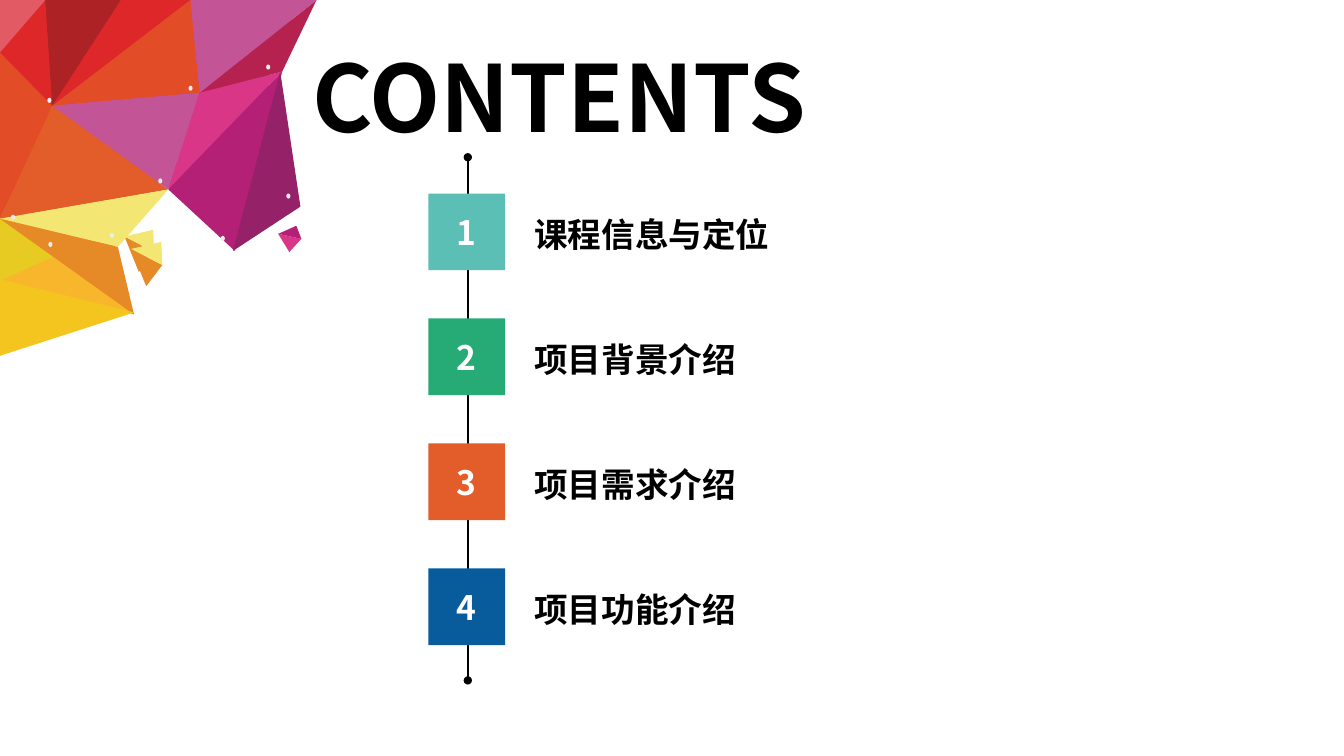
from pptx import Presentation
from pptx.dml.color import RGBColor
from pptx.enum.shapes import MSO_CONNECTOR, MSO_SHAPE
from pptx.enum.text import MSO_ANCHOR, PP_ALIGN
from pptx.oxml.ns import qn
from pptx.util import Inches, Pt
from lxml.etree import SubElement

FONT = "Noto Sans CJK SC"
TITLE = "CONTENTS"
CHAPTERS = [
    ("课程信息与定位", "teal"),
    ("项目背景介绍", "green"),
    ("项目需求介绍", "orange"),
    ("项目功能介绍", "blue"),
]
COLORS = {
    "black": "000000", "white": "FFFFFF", "teal": "5BBFB5", "green": "27AB76",
    "orange": "E25D2A", "blue": "085C9C", "lime": "E8CB22", "amber": "F8B62D",
    "ochre": "E7AC28", "flame": "E24C26", "red": "DD2729", "maroon": "AD2325",
    "orchid": "C35495", "pink": "DA3688", "magenta": "B52077", "plum": "952268",
    "crimson": "B62250", "copper": "E58A27", "cream": "F4E673", "coral": "E25A64",
    "gold": "F4C51E", "pale": "ECECEB",
}
FACETS = [
    ("lime", (0, 2.17), (0, 2.79), (0.94, 2.36)),
    ("amber", (0, 2.79), (1.33, 3.12), (0.94, 2.36)),
    ("flame", (0, 0.52), (0, 2.17), (0.52, 1.05)),
    ("orange", (0, 2.17), (1.67, 1.88), (0.52, 1.05)),
    ("red", (0.52, 1.05), (0.45, 0), (0, 0.52)),
    ("maroon", (0.52, 1.05), (1.2, 0), (0.45, 0)),
    ("red", (0.52, 1.05), (1.89, 0), (1.2, 0)),
    ("flame", (1.89, 0), (1.98, 0.92), (0.52, 1.05)),
    ("orchid", (1.67, 1.88), (0.52, 1.05), (1.98, 0.92)),
    ("pink", (1.67, 1.88), (2.8, 0.71), (1.98, 0.92)),
    ("magenta", (1.67, 1.88), (2.33, 2.49), (2.8, 0.71)),
    ("plum", (2.31, 2.49), (2.98, 2.05), (2.78, 0.71)),
    ("crimson", (1.98, 0.92), (3.14, 0), (2.8, 0.71)),
    ("orchid", (1.89, 0), (3.14, 0), (1.98, 0.92)),
    ("copper", (1.45, 2.84), (1.3, 2.47), (1.61, 2.63)),
    ("cream", (1.3, 2.47), (1.6, 2.4), (1.61, 2.63)),
    ("coral", (0.45, 0), (0, 0), (0, 0.52)),
    ("cream", (1.67, 1.88), (1.17, 2.45), (0, 2.17)),
    ("copper", (1.17, 2.45), (1.33, 3.12), (0, 2.17)),
    ("gold", (0, 2.77), (0, 3.53), (1.33, 3.1)),
]
SHARDS = [
    ("pink", (2.87, 2.5), (2.76, 2.32), (2.99, 2.37)),
    ("magenta", (2.76, 2.32), (2.94, 2.24), (2.99, 2.37)),
]
DOTS = [(2.64, 0.64), (1.87, 0.85), (1.57, 1.77), (0.47, 0.97), (0.48, 2.4),
        (0.11, 2.13), (1.09, 2.31), (2.19, 2.34), (2.84, 1.92)]
BACK_SCALE = 0.95
BACK_COLORS = {"amber": "ochre"}
LABEL_TOP, BADGE_TOP, BADGE_SIZE, ROW_STEP = 2.07, 1.92, 0.76, 1.24
BADGE_LEFT, LABEL_LEFT = 4.25, 5.2
AXIS = BADGE_LEFT + BADGE_SIZE / 2 + 0.01


def rgb(name):
    return RGBColor.from_string(COLORS[name])


def paint(shape, color):
    shape.shadow.inherit = False
    shape.fill.solid()
    shape.fill.fore_color.rgb = rgb(color)
    shape.line.fill.background()


def add_facet(page, color, corners, scale=1):
    points = [(Inches(x * scale), Inches(y * scale)) for x, y in corners]
    builder = page.shapes.build_freeform(*points[0])
    builder.add_line_segments(points[1:], close=True)
    paint(builder.convert_to_shape(), color)


def add_shape(page, kind, left, top, width, height, color):
    shape = page.shapes.add_shape(
        kind, Inches(left), Inches(top), Inches(width), Inches(height))
    paint(shape, color)
    return shape


def write(box, text, size, color, align=PP_ALIGN.LEFT):
    para = box.text_frame.paragraphs[0]
    para.alignment = align
    span = para.add_run()
    span.text = text
    formats = {"size": Pt(size), "name": FONT, "bold": True}
    for attribute, value in formats.items():
        setattr(span.font, attribute, value)
    span.font.color.rgb = rgb(color)
    SubElement(span.font._element, qn("a:ea"), typeface=FONT)


def add_text(page, left, top, width, height, text, size):
    box = page.shapes.add_textbox(
        Inches(left), Inches(top), Inches(width), Inches(height))
    box.text_frame.word_wrap = True
    write(box, text, size, "black")


def add_axis(page):
    axis = page.shapes.add_connector(
        MSO_CONNECTOR.STRAIGHT, Inches(AXIS), Inches(1.56), Inches(AXIS), Inches(6.75))
    axis.line.width = Pt(1.75)
    axis.line.color.rgb = rgb("black")
    line = axis.line._get_or_add_ln()
    for end in ("a:headEnd", "a:tailEnd"):
        SubElement(line, qn(end), type="oval")
    SubElement(axis._element.spPr, qn("a:effectLst"))


def main():
    deck = Presentation()
    deck.slide_width, deck.slide_height = Inches(13.33), Inches(7.5)
    page = deck.slides.add_slide(deck.slide_layouts[6])
    for row, (label, color) in enumerate(CHAPTERS):
        add_text(page, LABEL_LEFT, LABEL_TOP + row * ROW_STEP, 4.38, 0.51, label, 24)
    for color, *corners in FACETS:
        add_facet(page, BACK_COLORS.get(color, color), corners, BACK_SCALE)
    for color, *corners in FACETS + SHARDS:
        add_facet(page, color, corners)
    for left, top in DOTS:
        add_shape(page, MSO_SHAPE.OVAL, left, top, 0.04, 0.05, "pale")
    add_text(page, 3, 0.35, 6.38, 1.21, TITLE, 66)
    add_axis(page)
    for row, (label, color) in enumerate(CHAPTERS):
        badge = add_shape(page, MSO_SHAPE.RECTANGLE, BADGE_LEFT,
                          BADGE_TOP + row * ROW_STEP, BADGE_SIZE, BADGE_SIZE, color)
        badge.text_frame.vertical_anchor = MSO_ANCHOR.MIDDLE
        write(badge, str(row + 1), 24, "white", PP_ALIGN.CENTER)
    deck.save("out.pptx")


if __name__ == "__main__":
    main()
